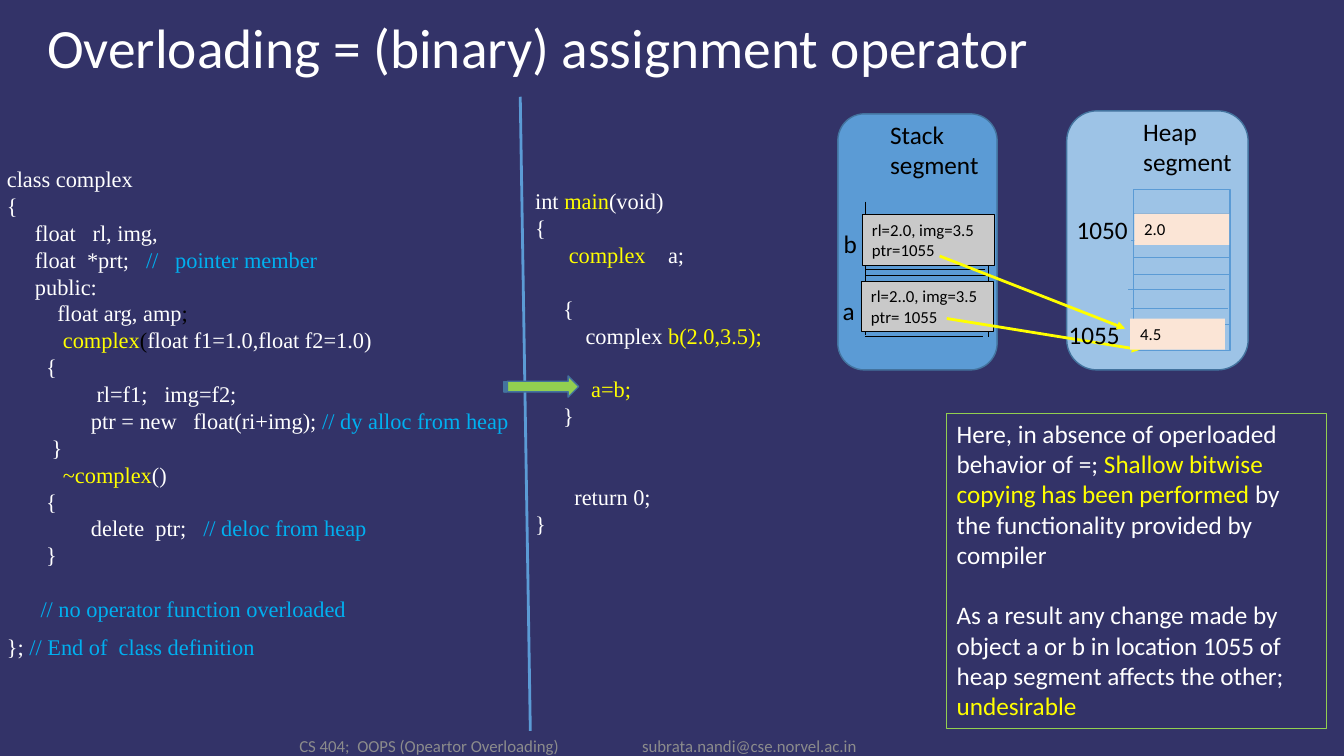
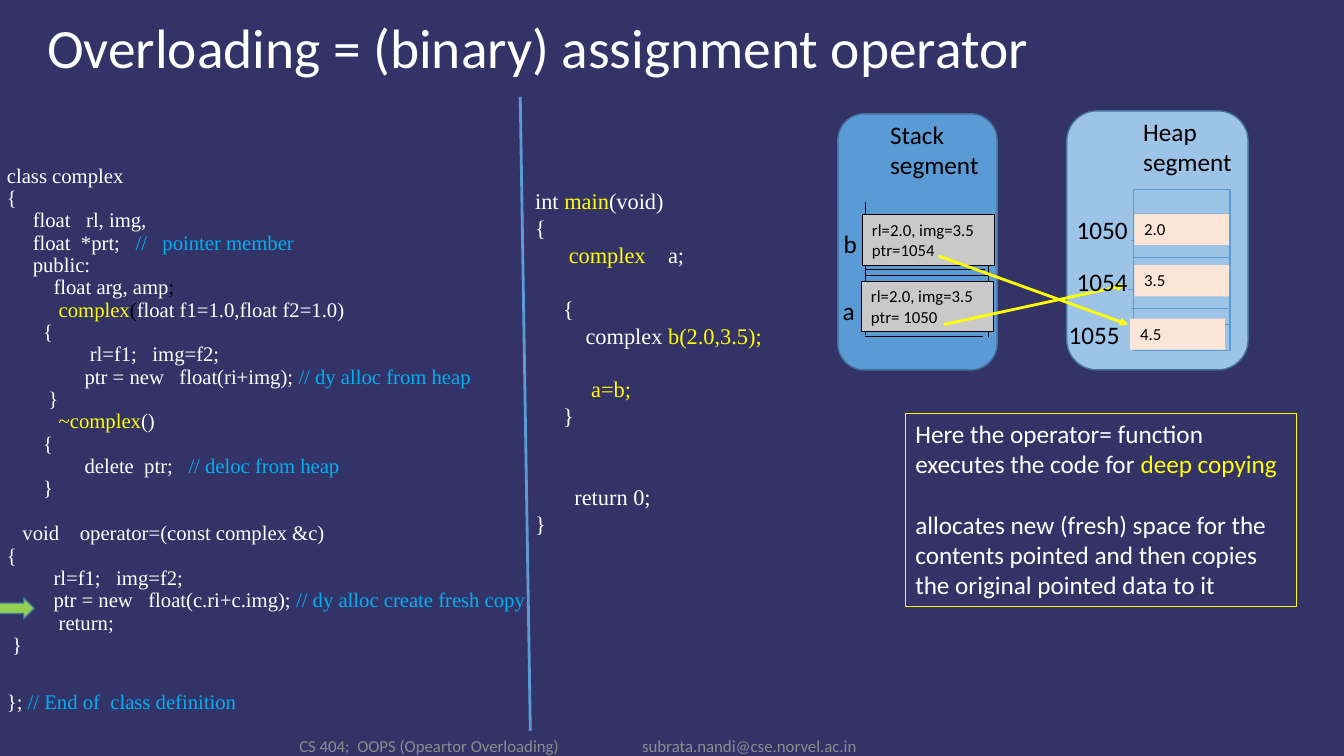
from dataclasses import dataclass
from pptx import Presentation
from pptx.dml.color import RGBColor
from pptx.enum.shapes import MSO_CONNECTOR, MSO_SHAPE
from pptx.enum.text import MSO_ANCHOR
from pptx.oxml.ns import qn
from pptx.oxml.xmlchemy import OxmlElement
from pptx.util import Inches, Pt


@dataclass(frozen=True)
class Theme:
    background: RGBColor = RGBColor(0x33, 0x33, 0x68)
    white: RGBColor = RGBColor(0xFF, 0xFF, 0xFF)
    black: RGBColor = RGBColor(0, 0, 0)
    yellow: RGBColor = RGBColor(0xFF, 0xFF, 0)
    comment: RGBColor = RGBColor(0, 0xB0, 0xF0)
    footer: RGBColor = RGBColor(0x8C, 0x8C, 0x8C)
    blue: RGBColor = RGBColor(0x5B, 0x9B, 0xD5)
    light_blue: RGBColor = RGBColor(0x9D, 0xC3, 0xE6)
    outline: RGBColor = RGBColor(0x43, 0x73, 0x9E)
    green: RGBColor = RGBColor(0x92, 0xD0, 0x50)
    grey: RGBColor = RGBColor(0xC9, 0xC9, 0xC9)
    peach: RGBColor = RGBColor(0xFB, 0xE5, 0xD6)
    sans: str = "Calibri"
    serif: str = "Times New Roman"
    title_size: float = 39.6
    label_size: float = 18
    code_size: float = 16
    dense_code_size: float = 14.8
    small_size: float = 12
    line_height: float = 1.2
    space_width: float = 0.25


THEME = Theme()


@dataclass(frozen=True)
class Line:
    runs: tuple
    indent: int = 0
    gap: int = 0
    lead: float = 0
    tighten: float = 0


def line(*runs, **layout):
    return Line(runs, **layout)


def yellow(text):
    return text, THEME.yellow


def black(text):
    return text, THEME.black


def comment(text):
    return text, THEME.comment


CLASS_BODY = [
    line("class complex"),
    line("{"),
    line("float   rl, img,", indent=5),
    line("float  *prt;   ", comment("//   pointer member"), indent=5),
    line("public:", indent=5),
    line("float arg, amp", black(";"), indent=9),
    line(yellow("complex"), black("("), "float f1=1.0,float f2=1.0)", indent=10),
    line("{", indent=7),
    line("rl=f1;   img=f2;", indent=16),
    line("ptr = new   float(ri+img); ", comment("// dy alloc from heap"), indent=15),
    line("}", indent=8),
    line(yellow("~complex"), "()", indent=10),
    line("{", indent=7),
    line("delete  ptr;   ", comment("// deloc from heap"), indent=15),
    line("}", indent=7),
]
CLASS_END = ("}; ", comment("// End of  class definition"))
SHALLOW_CLASS = CLASS_BODY + [
    line(comment("// no operator function overloaded"), indent=6, gap=1),
    line(*CLASS_END, lead=10, tighten=0.1),
]
DEEP_CLASS = CLASS_BODY + [
    line("void    operator=(const complex &c)", indent=3, gap=1),
    line("{"),
    line("rl=f1;   img=f2;", indent=9),
    line("ptr = new   float(c.ri+c.img); ",
         comment("// dy alloc create fresh copy"), indent=9),
    line("return;", indent=10),
    line("}", indent=1),
    line(*CLASS_END, gap=1, lead=10, tighten=0.1),
]
MAIN_FUNCTION = [
    line("int ", yellow("main"), "(void)"),
    line("{"),
    line(yellow("complex    "), "a;", indent=6),
    line("{", indent=5, gap=1),
    line("complex", yellow(" b(2.0,3.5);"), indent=9),
    line(yellow("a=b;"), indent=10, gap=1),
    line("}", indent=5),
    line("return 0;", indent=7, gap=2),
    line("}"),
]
SHALLOW_NOTE = [
    line("Here, in absence of operloaded behavior of =; ",
         yellow("Shallow bitwise copying has been performed"),
         " by the functionality provided by compiler"),
    line("As a result any change made by object a or b in location 1055 of "
         "heap segment affects the other; ", yellow("undesirable"), gap=1),
]
DEEP_NOTE = [
    line("Here the operator= function executes the code for ",
         yellow("deep copying")),
    line("allocates new (fresh) space for the contents pointed and then copies "
         "the original pointed data to it", gap=1),
]


def inches(*lengths):
    return [Inches(length) for length in lengths]


def write(holder, lines, size, color, font=THEME.sans, spacing=1.0,
          anchor=MSO_ANCHOR.TOP):
    frame = holder.text_frame
    frame.word_wrap = True
    frame.vertical_anchor = anchor
    for index, item in enumerate(lines):
        paragraph = frame.add_paragraph() if index else frame.paragraphs[0]
        paragraph.font.name = font
        paragraph.font.size = Pt(size)
        paragraph.font.color.rgb = color
        paragraph.line_spacing = round(spacing - item.tighten, 2)
        blank = item.gap * size * THEME.line_height * spacing
        paragraph.space_before = Pt(blank + item.lead)
        properties = paragraph._p.get_or_add_pPr()
        properties.set("marL", str(Pt(item.indent * size * THEME.space_width)))
        properties.set("indent", "0")
        properties.set("algn", "l")
        for part in item.runs:
            text, accent = (part, None) if isinstance(part, str) else part
            run = paragraph.add_run()
            run.text = text
            if accent is not None:
                run.font.color.rgb = accent


def add_text(slide, box, lines, size, color, **style):
    write(slide.shapes.add_textbox(*inches(*box)), lines, size, color, **style)


def add_label(slide, box, text):
    add_text(slide, box, [line(text)], THEME.label_size, THEME.black)


def add_block(slide, kind, box, fill=None, outline=None, width=0.75):
    block = slide.shapes.add_shape(kind, *inches(*box))
    block.shadow.inherit = False
    if fill is None:
        block.fill.background()
    else:
        block.fill.solid()
        block.fill.fore_color.rgb = fill
    if outline is None:
        block.line.fill.background()
    else:
        block.line.color.rgb = outline
        block.line.width = Pt(width)
    return block


def add_rule(slide, start, end, color, width=0.5, arrow=False):
    rule = slide.shapes.add_connector(MSO_CONNECTOR.STRAIGHT, *inches(*start, *end))
    rule.line.color.rgb = color
    rule.line.width = Pt(width)
    properties = rule.element.spPr
    if arrow:
        head = OxmlElement("a:tailEnd")
        head.set("type", "triangle")
        properties.find(qn("a:ln")).append(head)
    properties.append(OxmlElement("a:effectLst"))


def add_pointer(slide, start, end):
    add_rule(slide, start, end, THEME.yellow, 2, arrow=True)


def add_object(slide, left, top, rows):
    record = add_block(slide, MSO_SHAPE.RECTANGLE, (left, top, 1.31, 0.5),
                       THEME.grey, THEME.black)
    write(record, [line(row) for row in rows], THEME.small_size, THEME.black)


def add_heap_cell(slide, address, value, left, top):
    label_left = 10.58 if left == 11.25 else 10.5
    add_label(slide, (label_left, top - 0.04, 0.85, 0.4), address)
    cell = add_block(slide, MSO_SHAPE.RECTANGLE, (left, top, 0.94, 0.31), THEME.peach)
    write(cell, [line(value)], THEME.small_size, THEME.black)


def add_frame(slide):
    slide.background.fill.solid()
    slide.background.fill.fore_color.rgb = THEME.background
    add_text(slide, (0.37, 0.19, 12.28, 0.63),
             [line("Overloading = (binary) assignment operator")],
             THEME.title_size, THEME.white, spacing=0.9, anchor=MSO_ANCHOR.MIDDLE)
    for left, text in ((2.87, "CS 404;  OOPS (Opeartor Overloading)"),
                       (6.27, "subrata.nandi@cse.norvel.ac.in")):
        add_text(slide, (left, 7.25, 3, 0.3), [line(text)], THEME.small_size,
                 THEME.footer, anchor=MSO_ANCHOR.MIDDLE)
    add_rule(slide, (5.16, 0.96), (5.26, 7.25), THEME.blue, 2)


def add_memory(slide, a_rows, b_rows, a_pointer, b_pointer):
    for box, fill in (((8.31, 1.13, 1.58, 2.54), THEME.blue),
                      ((10.58, 1.1, 1.8, 2.57), THEME.light_blue)):
        add_block(slide, MSO_SHAPE.ROUNDED_RECTANGLE, box, fill, THEME.outline, 1)
    add_label(slide, (11.24, 1.1, 1.15, 0.71), "Heap segment")
    add_label(slide, (8.73, 1.13, 1.15, 0.71), "Stack segment")
    for start, end in (((8.58, 2), (8.58, 3.32)), ((8.58, 3.34), (9.75, 3.34)),
                       ((9.8, 3.34), (9.8, 2.12)), ((8.58, 2.73), (9.8, 2.73)),
                       ((8.59, 2.67), (9.77, 2.67))):
        add_rule(slide, start, end, THEME.black)
    add_block(slide, MSO_SHAPE.RECTANGLE, (11.24, 1.88, 0.96, 1.6), None, THEME.blue)
    for left, top in ((11.24, 2.12), (11.22, 2.38), (11.25, 2.55), (11.25, 2.72),
                      (11.19, 2.87), (11.22, 3.06), (11.23, 3.22)):
        add_rule(slide, (left, top), (left + 0.96, top), THEME.blue)
    add_object(slide, 8.54, 2.79, a_rows)
    add_label(slide, (8.26, 2.88, 0.33, 0.4), "a")
    add_object(slide, 8.55, 2.13, b_rows)
    add_label(slide, (8.27, 2.22, 0.33, 0.4), "b")
    add_heap_cell(slide, "1050", "2.0", 11.25, 2.12)
    add_pointer(slide, *a_pointer)
    add_heap_cell(slide, "1055", "4.5", 11.21, 3.16)
    add_pointer(slide, *b_pointer)


def add_code(slide, class_lines, size, spacing, marker):
    add_text(slide, (-0.03, 1.59, 5.91, 5.75), class_lines, size, THEME.white,
             font=THEME.serif, spacing=spacing)
    add_text(slide, (5.21, 1.81, 2.97, 5.02), MAIN_FUNCTION, THEME.code_size,
             THEME.white, font=THEME.serif)
    add_block(slide, MSO_SHAPE.STRIPED_RIGHT_ARROW, (*marker, 0.74, 0.21),
              THEME.green, THEME.outline, 1)


def add_note(slide, box, lines, outline):
    note = add_block(slide, MSO_SHAPE.RECTANGLE, box, None, outline)
    write(note, lines, THEME.label_size, THEME.white)


def add_shallow_copy(slide):
    add_frame(slide)
    add_code(slide, SHALLOW_CLASS, THEME.code_size, 1.0, (5, 3.73))
    add_memory(slide, ("rl=2..0, img=3.5", "ptr= 1055"),
               ("rl=2.0, img=3.5", "ptr=1055"),
               ((9.39, 3.16), (11.31, 3.47)), ((9.32, 2.54), (11.16, 3.26)))
    add_note(slide, (9.39, 4.1, 3.77, 3.13), SHALLOW_NOTE, THEME.green)


def add_deep_copy(slide):
    add_frame(slide)
    add_code(slide, DEEP_CLASS, THEME.dense_code_size, 0.9, (-0.4, 5.93))
    add_memory(slide, ("rl=2.0, img=3.5", "ptr= 1050"),
               ("rl=2.0, img=3.5", "ptr=1054"),
               ((9.36, 3.22), (11.16, 2.83)), ((9.31, 2.54), (11.19, 3.22)))
    add_heap_cell(slide, "1054", "3.5", 11.25, 2.63)
    add_note(slide, (8.98, 4.1, 3.88, 1.92), DEEP_NOTE, THEME.yellow)


def main():
    deck = Presentation()
    deck.slide_width, deck.slide_height = inches(13.33, 7.5)
    blank = deck.slide_layouts[6]
    for build in (add_shallow_copy, add_deep_copy):
        build(deck.slides.add_slide(blank))
    deck.save("out.pptx")


if __name__ == "__main__":
    main()
